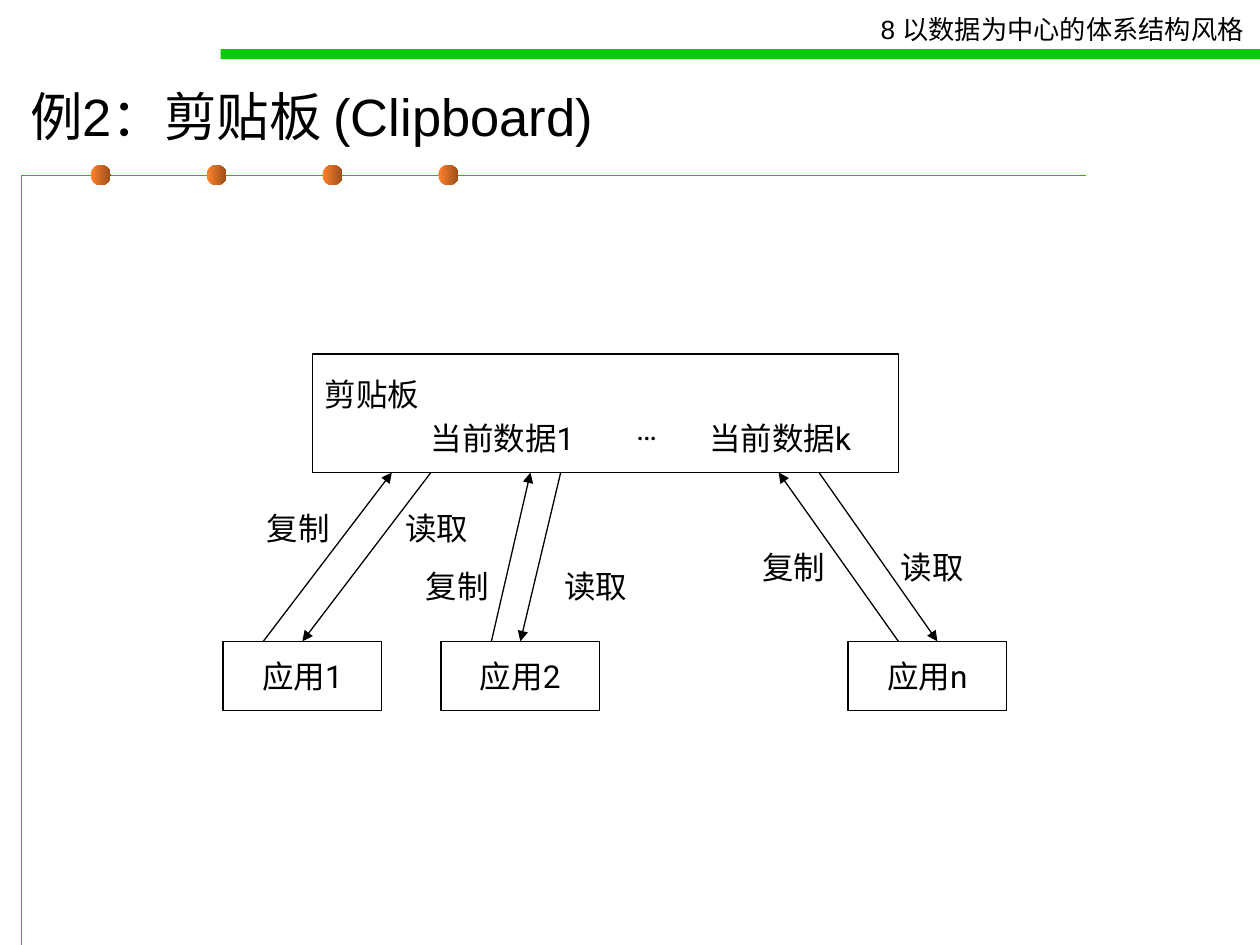
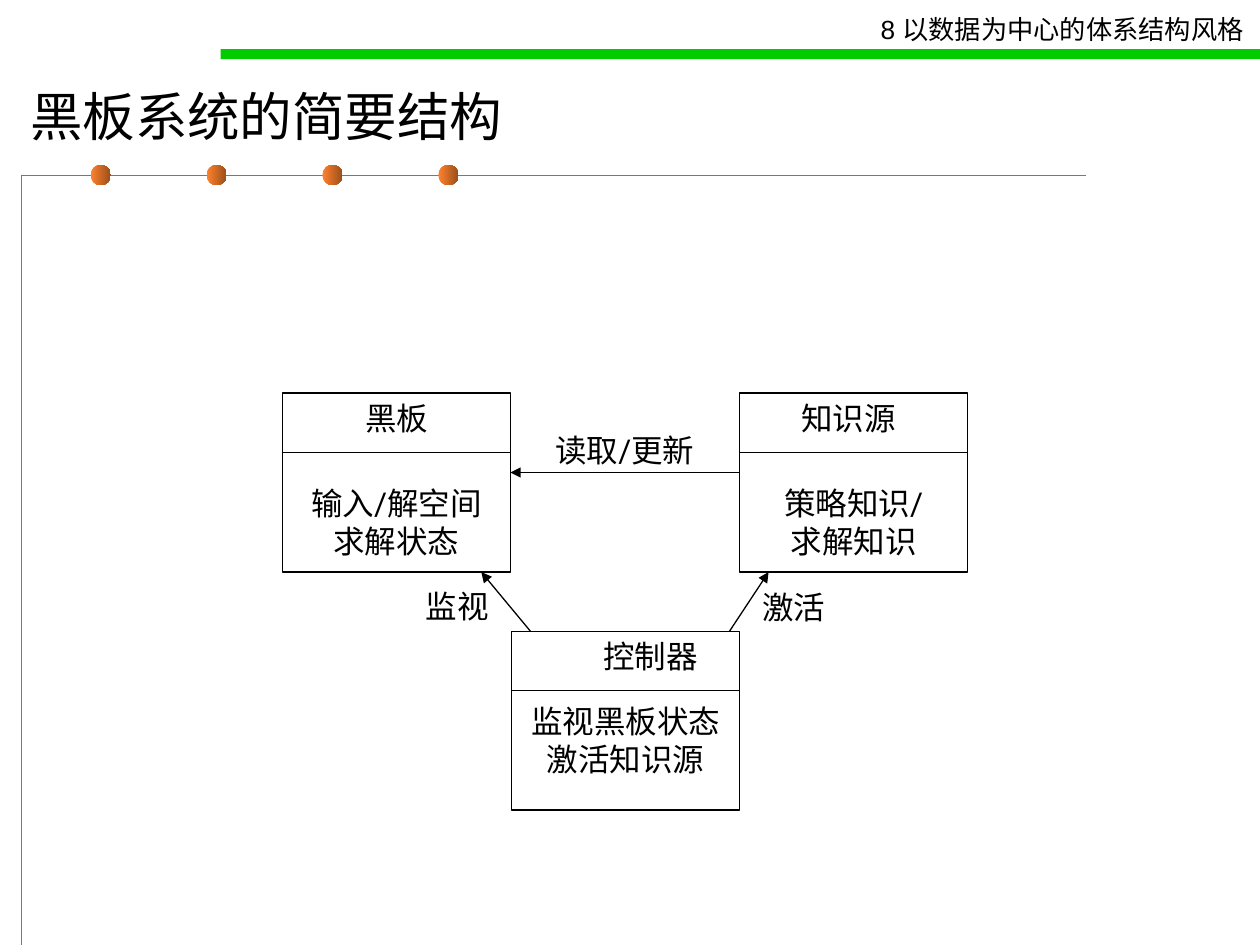
from dataclasses import dataclass
from typing import NamedTuple

import lxml.etree
import pptx
import pptx.dml.color
import pptx.enum.shapes
import pptx.enum.text
import pptx.oxml.ns
import pptx.util
from pptx.util import Inches

COLORS = {
    "text": "000000",
    "box": "FFFFFF",
    "green": "00CC00",
    "orange": "FF822D",
    "brown": "9A4E1B",
}
HEADING_FONT, DIAGRAM_FONT = "Arial", "Roboto"
LINE_WIDTH = pptx.util.Pt(0.75)
INSET = 0.05
LINE_HEIGHT = 0.31
LABEL_HEIGHT = 0.4

ALIGN = pptx.enum.text.PP_ALIGN
ANCHOR = pptx.enum.text.MSO_ANCHOR
SHAPE = pptx.enum.shapes.MSO_SHAPE


class Point(NamedTuple):
    x: float
    y: float


class Area(NamedTuple):
    left: float
    top: float
    width: float
    height: float

    def lengths(self) -> list:
        return [Inches(value) for value in self]


class Label(NamedTuple):
    text: str
    left: float
    top: float
    width: float = 0.7
    wrap: bool = False


@dataclass
class Application:
    name: str
    left: float
    copy_start: float
    copy_end: float
    read_start: float
    read_end: float
    label_left: float
    label_top: float


@dataclass
class Component:
    """A box with a heading above a divider and lines below it."""
    heading: Label
    left: float
    top: float
    lines: list[str]
    lines_skipped: int


CLIPBOARD = Area(2.48, 2.81, 4.65, 0.94)
APPLICATION_TOP, APPLICATION_WIDTH, APPLICATION_HEIGHT = 5.09, 1.26, 0.55
READ_LABEL_OFFSET = 1.1
APPLICATIONS = [
    Application("应用1", 1.77, 2.09, 3.11, 3.42, 2.4, 2.02, 3.99),
    Application("应用2", 3.5, 3.9, 4.21, 4.45, 4.13, 3.28, 4.45),
    Application("应用n", 6.73, 7.13, 6.18, 6.5, 7.44, 5.95, 4.3),
]
CLIPBOARD_LABELS = [
    Label("当前数据1", 3.32, 3.28, 1.4),
    Label("当前数据k", 5.53, 3.28, 1.39),
    Label("…", 4.95, 3.2, 0.4),
]

COMPONENT_WIDTH, COMPONENT_HEIGHT, DIVIDER_OFFSET = 1.81, 1.42, 0.47
COMPONENTS = [
    Component(Label("黑板", 2.8, 3.12), 2.24, 3.12, ["输入/解空间", "求解状态"], 2),
    Component(Label("知识源", 6.26, 3.12, 0.95), 5.87, 3.12, ["策略知识/", "求解知识"], 2),
    Component(Label("控制器", 4.69, 5.01, 0.95), 4.06, 5.01, ["监视黑板状态", "激活知识源"], 1),
]
COMPONENT_ARROWS = [
    (Point(4.21, 5.01), Point(3.82, 4.54)),
    (Point(5.87, 3.75), Point(4.05, 3.75)),
    (Point(5.79, 5.01), Point(6.1, 4.54)),
]
ARROW_LABELS = [
    Label("监视", 3.28, 4.61),
    Label("读取/更新", 4.31, 3.37, 1.4, wrap=True),
    Label("激活", 5.95, 4.62),
]


def color(name: str) -> pptx.dml.color.RGBColor:
    return pptx.dml.color.RGBColor.from_string(COLORS[name])


def write(shape, lines: list[str], size: int = 18, font: str = DIAGRAM_FONT,
          align=ALIGN.LEFT, anchor=ANCHOR.TOP, wrap: bool = True) -> None:
    frame = shape.text_frame
    frame.word_wrap = wrap
    frame.vertical_anchor = anchor
    for index, line in enumerate(lines):
        paragraph = frame.add_paragraph() if index else frame.paragraphs[0]
        paragraph.alignment = align
        run = paragraph.add_run()
        run.text = line
        run.font.size = pptx.util.Pt(size)
        run.font.name = font
        run.font.color.rgb = color("text")


def add_text(slide, text: str, area: Area, **style) -> None:
    write(slide.shapes.add_textbox(*area.lengths()), [text], **style)


def add_label(slide, label: Label) -> None:
    area = Area(label.left, label.top, label.width, LABEL_HEIGHT)
    add_text(slide, label.text, area, wrap=label.wrap)


def add_plain_shape(slide, kind, area: Area):
    shape = slide.shapes.add_shape(kind, *area.lengths())
    shape.shadow.inherit = False
    shape.line.fill.background()
    return shape


def add_box(slide, area: Area, lines: list[str], align=ALIGN.CENTER,
            inset_top: float = INSET, inset_bottom: float = INSET) -> None:
    box = add_plain_shape(slide, SHAPE.RECTANGLE, area)
    box.fill.solid()
    box.fill.fore_color.rgb = color("box")
    box.line.color.rgb = color("text")
    box.line.width = LINE_WIDTH
    box.text_frame.margin_top = Inches(inset_top)
    box.text_frame.margin_bottom = Inches(inset_bottom)
    write(box, lines, align=align, anchor=ANCHOR.MIDDLE)


def add_line(slide, start: Point, end: Point, arrow: bool = True) -> None:
    connector = slide.shapes.add_connector(
        pptx.enum.shapes.MSO_CONNECTOR.STRAIGHT,
        *[Inches(value) for value in (*start, *end)])
    connector.line.color.rgb = color("text")
    connector.line.width = LINE_WIDTH
    properties = connector._element.spPr
    if arrow:
        outline = properties.find(pptx.oxml.ns.qn("a:ln"))
        lxml.etree.SubElement(outline, pptx.oxml.ns.qn("a:tailEnd"), type="triangle")
    lxml.etree.SubElement(properties, pptx.oxml.ns.qn("a:effectLst"))


def add_slide(presentation, title: str):
    """Add a slide with the shared frame, dots, band, header and title."""
    slide = presentation.slides.add_slide(presentation.slide_layouts[6])

    # Corner line
    builder = slide.shapes.build_freeform(Inches(0.17), Inches(7.5))
    corner = [(Inches(0.17), Inches(1.39)), (Inches(8.62), Inches(1.39))]
    builder.add_line_segments(corner, close=False)
    frame_line = builder.convert_to_shape()
    frame_line.shadow.inherit = False
    frame_line.fill.background()
    frame_line.line.color.rgb = color("green")
    frame_line.line.width = LINE_WIDTH

    # Dots
    for index in range(4):
        dot = add_plain_shape(slide, SHAPE.OVAL, Area(0.72 + 0.92 * index, 1.31, 0.16, 0.16))
        dot.fill.gradient()
        dot.fill.gradient_angle = 0
        for stop, name in zip(dot.fill.gradient_stops, ("orange", "brown")):
            stop.color.rgb = color(name)

    # Band, header and title
    band = add_plain_shape(slide, SHAPE.RECTANGLE, Area(1.75, 0.39, 8.25, 0.08))
    band.fill.solid()
    band.fill.fore_color.rgb = color("green")
    add_text(slide, "8 以数据为中心的体系结构风格", Area(6.89, 0.06, 3.13, 0.35),
             size=15, font=HEADING_FONT, wrap=False)
    add_text(slide, title, Area(0.14, 0.56, 9.29, 0.71),
             size=30, font=HEADING_FONT, anchor=ANCHOR.MIDDLE)
    return slide


def build_clipboard_slide(presentation) -> None:
    slide = add_slide(presentation, "例2：剪贴板 (Clipboard)")
    add_box(slide, CLIPBOARD, ["剪贴板"], align=ALIGN.LEFT,
            inset_bottom=INSET + LINE_HEIGHT)
    for label in CLIPBOARD_LABELS:
        add_label(slide, label)

    # Applications, each copying to and reading from the clipboard
    clipboard_bottom = CLIPBOARD.top + CLIPBOARD.height
    for application in APPLICATIONS:
        add_box(slide, Area(application.left, APPLICATION_TOP, APPLICATION_WIDTH,
                            APPLICATION_HEIGHT), [application.name])
        add_line(slide, Point(application.copy_start, APPLICATION_TOP),
                 Point(application.copy_end, clipboard_bottom))
        add_line(slide, Point(application.read_start, clipboard_bottom),
                 Point(application.read_end, APPLICATION_TOP))
        for index, action in enumerate(("复制", "读取")):
            left = application.label_left + READ_LABEL_OFFSET * index
            add_label(slide, Label(action, left, application.label_top))


def build_blackboard_slide(presentation) -> None:
    slide = add_slide(presentation, "黑板系统的简要结构")

    # Components
    for component in COMPONENTS:
        left, top = component.left, component.top
        add_box(slide, Area(left, top, COMPONENT_WIDTH, COMPONENT_HEIGHT), component.lines,
                inset_top=INSET + LINE_HEIGHT * component.lines_skipped)
        divider = top + DIVIDER_OFFSET
        add_line(slide, Point(left, divider), Point(left + COMPONENT_WIDTH, divider),
                 arrow=False)
        add_label(slide, component.heading)

    # Relations
    for start, end in COMPONENT_ARROWS:
        add_line(slide, start, end)
    for label in ARROW_LABELS:
        add_label(slide, label)


def main() -> None:
    presentation = pptx.Presentation()
    presentation.slide_width = Inches(10)
    presentation.slide_height = Inches(7.5)
    build_clipboard_slide(presentation)
    build_blackboard_slide(presentation)
    presentation.save("out.pptx")


if __name__ == "__main__":
    main()
